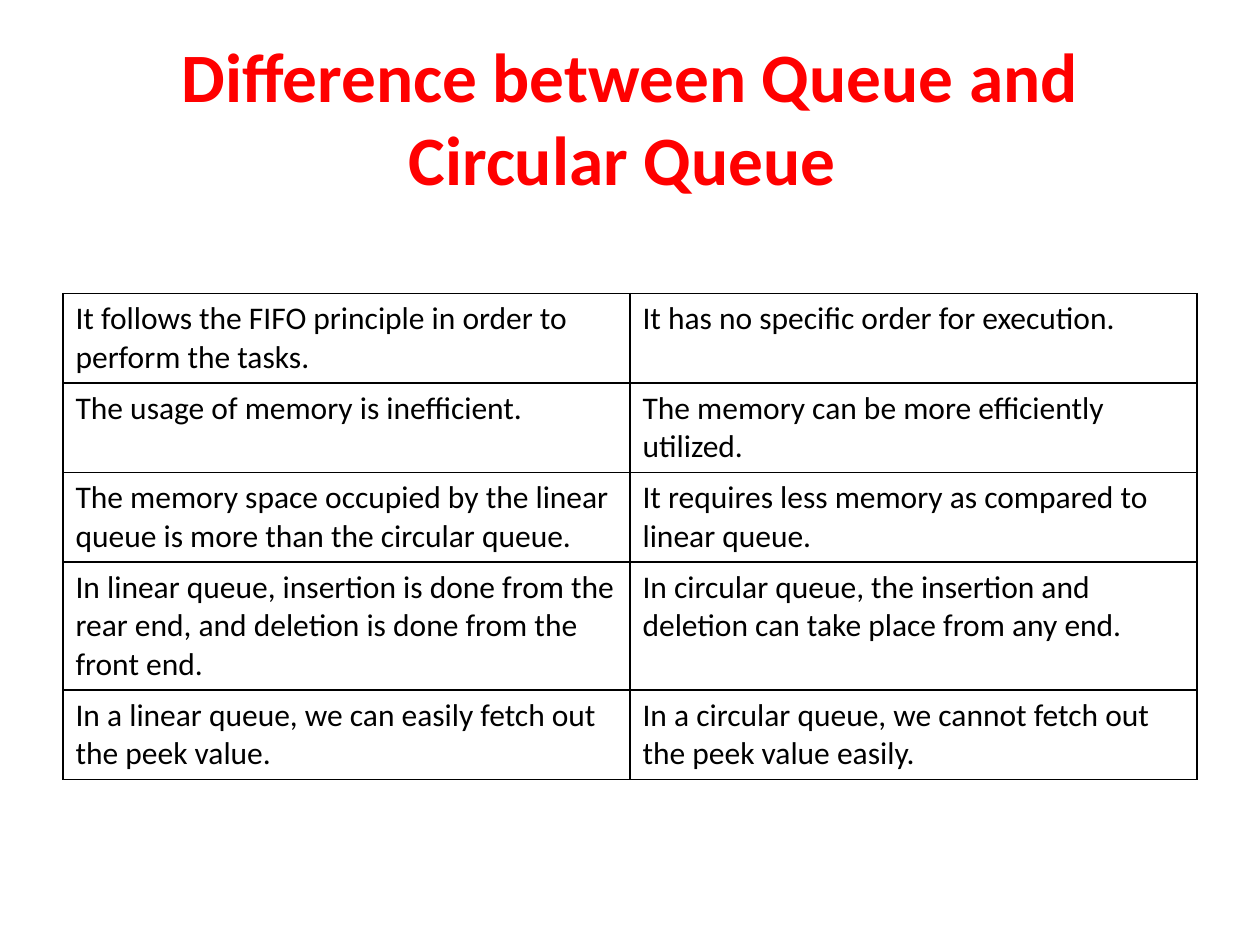
"""Builds a slide that compares a linear queue with a circular queue."""
from lxml.etree import SubElement
from pptx import Presentation
from pptx.dml.color import RGBColor
from pptx.enum.text import MSO_ANCHOR, MSO_AUTO_SIZE, PP_ALIGN
from pptx.oxml.ns import qn
from pptx.util import Inches, Pt

TITLE = "Difference between Queue and Circular Queue "
COMPARISON = [
    ("It follows the FIFO principle in order to perform the tasks.",
     "It has no specific order for execution."),
    ("The usage of memory is inefficient.",
     "The memory can be more efficiently utilized."),
    ("The memory space occupied by the linear queue is more than the circular queue.",
     "It requires less memory as compared to linear queue."),
    ("In linear queue, insertion is done from the rear end, and deletion is done from the front end.",
     "In circular queue, the insertion and deletion can take place from any end."),
    ("In a linear queue, we can easily fetch out the peek value.\u00a0",
     "In a circular queue, we cannot fetch out the peek value easily."),
]
THEME = {
    "title": {"name": "Calibri", "size": Pt(39.6), "bold": True, "color": "FF0000"},
    "body": {"name": "Calibri", "size": Pt(18), "bold": False, "color": "000000"},
    "border": {"color": "000000", "width": Pt(1)},
}
LEFT, WIDTH = Inches(0.5), Inches(9)
TABLE_TOP, ROW_HEIGHT = Inches(2.33), Inches(0.41)


def set_attributes(target, values):
    for name, value in values.items():
        setattr(target, name, value)


def write(frame, text, style):
    span = frame.paragraphs[0].add_run()
    span.text = text
    for name, value in style.items():
        if name == "color":
            span.font.color.rgb = RGBColor.from_string(value)
        else:
            setattr(span.font, name, value)


def add_borders(cell):
    properties = cell._tc.get_or_add_tcPr()
    for edge in ("a:lnL", "a:lnR", "a:lnT", "a:lnB"):
        line = SubElement(properties, qn(edge), w=str(THEME["border"]["width"]))
        fill = SubElement(line, qn("a:solidFill"))
        SubElement(fill, qn("a:srgbClr"), val=THEME["border"]["color"])


def add_title(page):
    box = page.shapes.title
    set_attributes(box, {"left": LEFT, "top": Inches(0.3),
                         "width": WIDTH, "height": Inches(1.25)})
    set_attributes(box.text_frame, {"word_wrap": True, "auto_size": MSO_AUTO_SIZE.NONE,
                                    "vertical_anchor": MSO_ANCHOR.MIDDLE})
    box.text_frame.paragraphs[0].alignment = PP_ALIGN.CENTER
    write(box.text_frame, TITLE, THEME["title"])


def add_comparison(page):
    rows, columns = len(COMPARISON), len(COMPARISON[0])
    table = page.shapes.add_table(rows, columns, LEFT, TABLE_TOP,
                                  WIDTH, ROW_HEIGHT * rows).table
    set_attributes(table, {"first_row": False, "horz_banding": False})
    for cell, text in zip(table.iter_cells(), sum(COMPARISON, ())):
        add_borders(cell)
        cell.fill.background()
        write(cell.text_frame, text, THEME["body"])


def main():
    deck = Presentation()
    set_attributes(deck, {"slide_width": Inches(10), "slide_height": Inches(7.5)})
    page = deck.slides.add_slide(deck.slide_layouts.get_by_name("Title Only"))
    add_title(page)
    add_comparison(page)
    deck.save("out.pptx")


if __name__ == "__main__":
    main()
